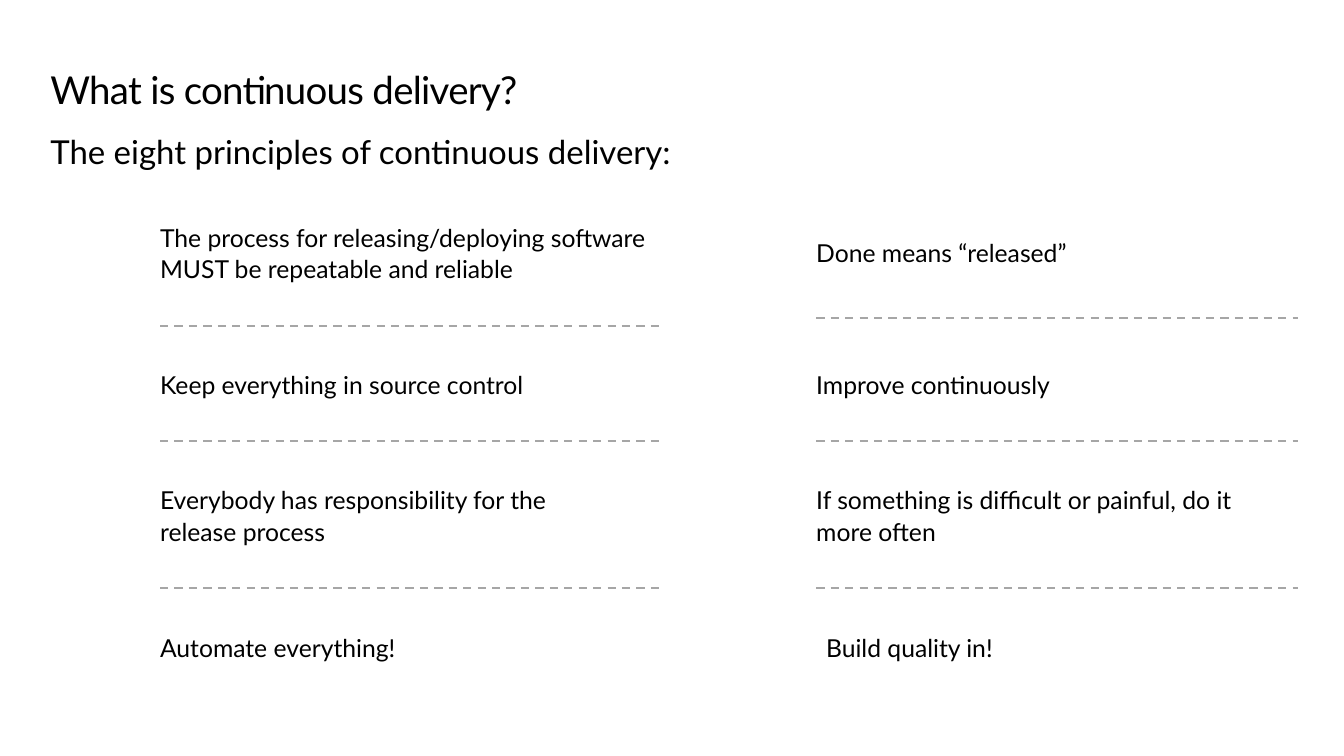
from lxml.etree import SubElement
from pptx import Presentation
from pptx.dml.color import RGBColor
from pptx.enum.dml import MSO_LINE
from pptx.enum.shapes import MSO_CONNECTOR
from pptx.enum.text import MSO_ANCHOR, MSO_AUTO_SIZE
from pptx.oxml.ns import qn
from pptx.util import Inches, Pt

# Content: each principle is (text, number of lines it fills)
TITLE = "What is continuous delivery?"
SUBTITLE = "The eight principles of continuous delivery:"
COLUMNS = [
    {
        "left": 1.62, "width": 5.07, "rules": [3.3, 4.46, 5.95], "last_indent": 0,
        "principles": [
            ("The process for releasing/deploying software MUST be repeatable and reliable", 2),
            ("Keep everything in source control", 1),
            ("Everybody has responsibility for the\nrelease process", 2),
            ("Automate everything!", 1),
        ],
    },
    {
        "left": 8.26, "width": 4.87, "rules": [3.22, 4.46, 5.95], "last_indent": 0.1,
        "principles": [
            ("Done means “released”", 1),
            ("Improve continuously", 1),
            ("If something is difficult or painful, do it\nmore often", 2),
            ("Build quality in!", 1),
        ],
    },
]

THEME = {
    "font": "Lato",
    "text": RGBColor(0, 0, 0),
    "rule": RGBColor(0xA6, 0xA6, 0xA6),
    "title": 28,
    "subtitle": 24,
    "body": 18,
}
MARGIN = 0.51
FIRST_CENTER, ROW_STEP = 2.55, 1.33
BOX_HEIGHT = {1: 0.3, 2: 0.62}


def add_text(page, text, left, top, width, height, size, anchor=MSO_ANCHOR.MIDDLE):
    box = page.shapes.add_textbox(Inches(left), Inches(top), Inches(width), Inches(height))
    frame = box.text_frame
    frame.word_wrap = True
    frame.vertical_anchor = anchor
    frame.margin_left = frame.margin_right = frame.margin_top = frame.margin_bottom = 0
    para = frame.paragraphs[0]
    para.text = text
    for span in para.runs:
        span.font.name = THEME["font"]
        span.font.size = Pt(size)
        span.font.color.rgb = THEME["text"]
    return frame


def add_rule(page, left, top, width):
    rule = page.shapes.add_connector(
        MSO_CONNECTOR.STRAIGHT, Inches(left), Inches(top), Inches(left + width), Inches(top))
    rule.line.color.rgb = THEME["rule"]
    rule.line.width = Pt(1.5)
    rule.line.dash_style = MSO_LINE.DASH
    SubElement(rule._element.spPr, qn("a:effectLst"))


def add_column(page, column):
    left, width = column["left"], column["width"]
    last = len(column["principles"]) - 1
    for row, (text, lines) in enumerate(column["principles"]):
        height = BOX_HEIGHT[lines]
        top = FIRST_CENTER + row * ROW_STEP - height / 2
        indent = column["last_indent"] if row == last else 0
        frame = add_text(page, text, left + indent, top, width, height, THEME["body"])
        frame.auto_size = MSO_AUTO_SIZE.SHAPE_TO_FIT_TEXT
        frame.paragraphs[0].line_spacing = 1.07
    for top in column["rules"]:
        add_rule(page, left, top, width)


def main():
    deck = Presentation()
    deck.slide_width, deck.slide_height = Inches(13.6), Inches(7.65)
    page = deck.slides.add_slide(deck.slide_layouts[6])

    # Headings
    title = add_text(page, TITLE, MARGIN, 0.69, 12.61, 0.45, THEME["title"], MSO_ANCHOR.TOP)
    title.paragraphs[0].line_spacing = Pt(32)
    title.paragraphs[0].runs[0].font._element.set("spc", "-50")
    subtitle = add_text(page, SUBTITLE, MARGIN, 1.33, 7.61, 0.4, THEME["subtitle"])
    subtitle.auto_size = MSO_AUTO_SIZE.SHAPE_TO_FIT_TEXT

    # Principles
    for column in COLUMNS:
        add_column(page, column)

    deck.save("out.pptx")


if __name__ == "__main__":
    main()
